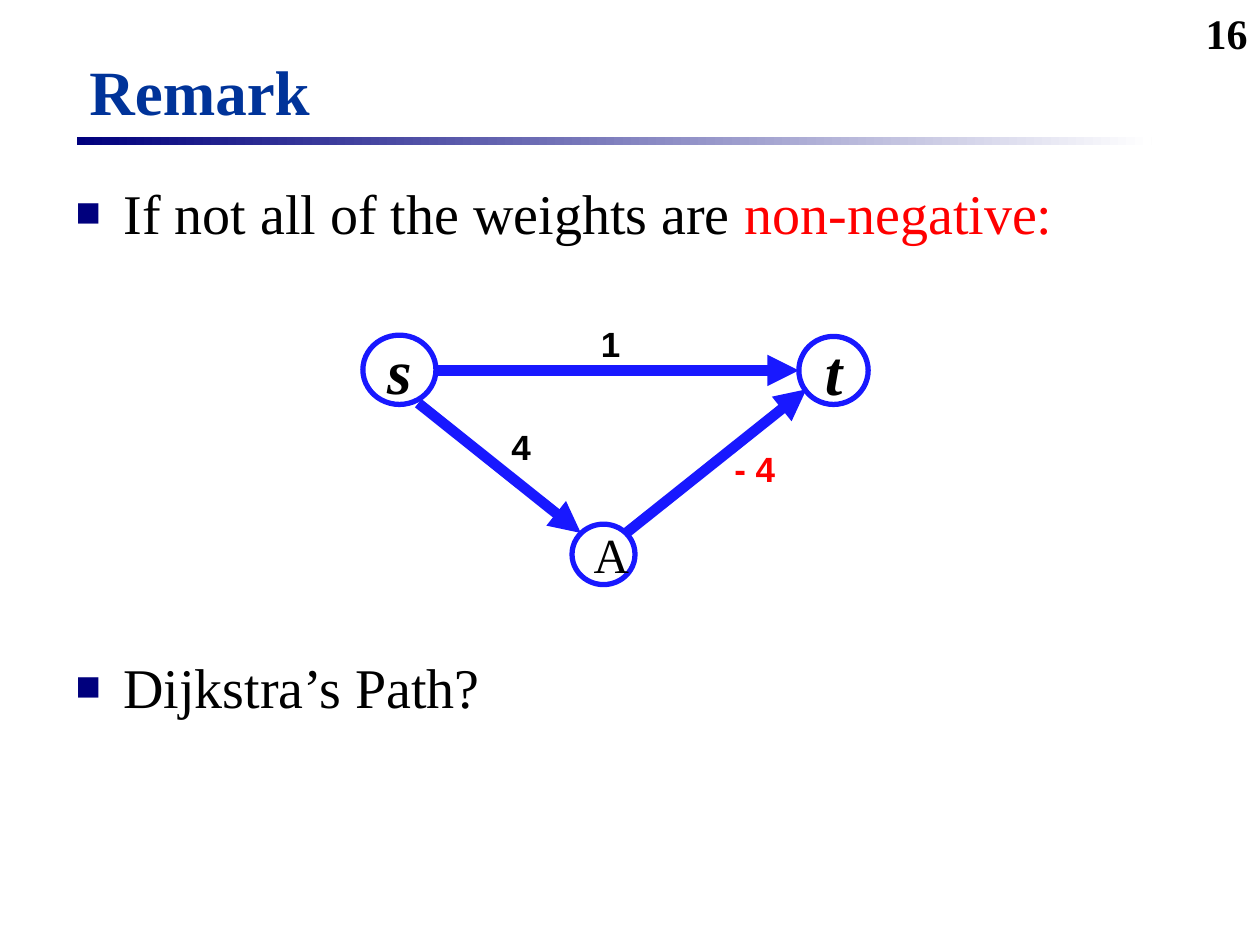
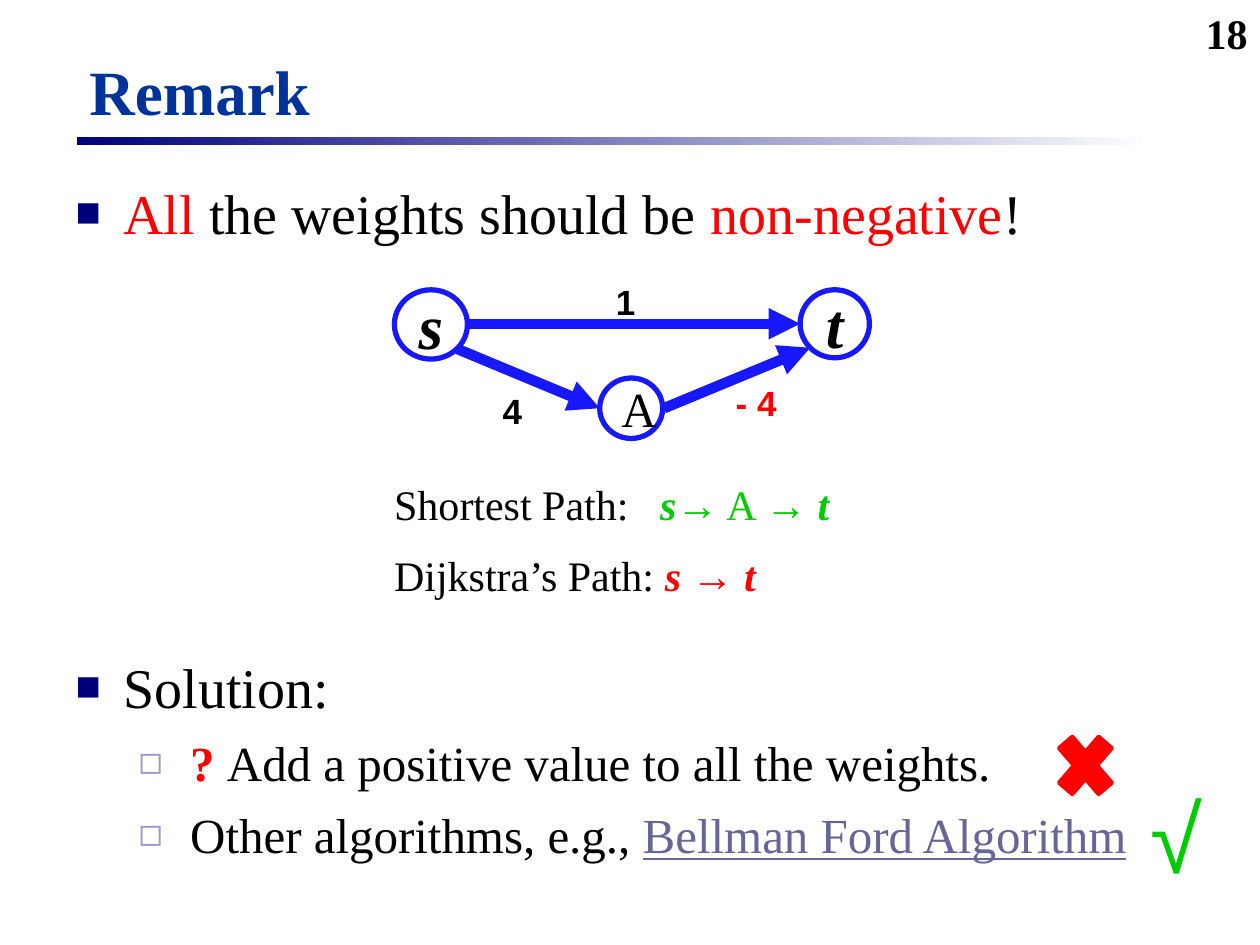
"""Build two slides on negative weights and Dijkstra's shortest paths."""
from lxml.etree import SubElement
from pptx import Presentation
from pptx.dml.color import RGBColor
from pptx.enum.shapes import MSO_CONNECTOR, MSO_SHAPE as Preset
from pptx.enum.text import MSO_ANCHOR as Anchor, MSO_AUTO_SIZE as AutoSize, PP_ALIGN as Align
from pptx.oxml.ns import qn
from pptx.util import Pt

PX = 9144
BLACK = RGBColor(0, 0, 0)
WHITE = RGBColor(255, 255, 255)
RED = RGBColor(255, 0, 0)
GREEN = RGBColor(0, 204, 0)
NAVY = RGBColor(0, 0, 125)
TITLE_BLUE = RGBColor(0, 51, 153)
GRAPH_BLUE = RGBColor(24, 24, 255)
LILAC = RGBColor(153, 153, 204)
LINK = RGBColor(102, 102, 153)
SERIF, SANS = "Times New Roman", "Arial"


def write(para, runs, size, face=SERIF):
    """Fill a paragraph with (text, colour, style letters) runs."""
    para.font.size = Pt(size)
    para.font.name = face
    for text, colour, style in runs:
        span = para.add_run()
        span.text = text
        font = para.font if len(runs) == 1 else span.font
        font.color.rgb = colour
        font.bold = "b" in style
        font.italic = "i" in style
        font.underline = "u" in style


def add_text(page, place, runs, size, face=SERIF, align=Align.LEFT, tab=None):
    """Add a one-line text box, with a tab stop if one is given."""
    box = page.shapes.add_textbox(*[n * PX for n in place])
    box.text_frame.word_wrap = True
    para = box.text_frame.paragraphs[0]
    para.alignment = align
    if tab:
        stops = SubElement(para._p.get_or_add_pPr(), qn("a:tabLst"))
        SubElement(stops, qn("a:tab"), pos=str(tab * PX), algn="l")
    write(para, runs, size, face)
    return box


BULLETS = [
    ("■", NAVY, 75, 38, -38, 32),
    ("◻", LILAC, 80, 91, -41, 28),
]
PAGES = [
    {
        "number": "16",
        "items": [
            (0, 0, [("If not all of the weights are ", BLACK, ""), ("non-negative:", RED, "")]),
            (0, 232, [("Dijkstra’s Path?", BLACK, "")]),
        ],
        "nodes": [(288, 266), (454, 416), (634, 267)],
        "edges": [(346, 294, 634, 294), (332, 320, 461, 423), (497, 423, 640, 309)],
        "weights": [(467, 251), (396, 333), (573, 350)],
    },
    {
        "number": "18",
        "items": [
            (0, 0, [("All", RED, ""), (" the weights should be ", BLACK, ""),
                    ("non-negative", RED, ""), ("!", BLACK, "")]),
            (0, 232, [("Solution:", BLACK, "")]),
            (1, 7.5, [("? ", RED, "b"), ("Add a positive value to all the weights.", BLACK, "")]),
            (1, 7.5, [("Other algorithms, e.g., ", BLACK, ""),
                      ("Bellman Ford Algorithm", LINK, "u")]),
        ],
        "nodes": [(313, 230), (476, 300), (635, 230)],
        "edges": [(371, 257, 635, 257), (363, 277, 476, 324), (527, 324, 643, 276)],
        "weights": [(479, 218), (389, 304), (574, 298)],
    },
]
NODES = [("s", 58, 55, 36, "bi"), ("A", 50, 48, 28, ""), ("t", 55, 54, 36, "bi")]
WEIGHTS = [("1", 42, BLACK), ("4", 42, BLACK), ("- 4", 61, RED)]

deck = Presentation()
deck.slide_width, deck.slide_height = 1000 * PX, 750 * PX
layout = deck.slide_layouts[1]
for holder, place in zip(layout.placeholders, [(61, 36, 685, 71), (50, 137, 900, 585)]):
    holder.left, holder.top, holder.width, holder.height = [n * PX for n in place]

for content in PAGES:
    page = deck.slides.add_slide(layout)
    band = page.shapes.add_shape(Preset.RECTANGLE, 61 * PX, 109 * PX, 853 * PX, 6 * PX)
    band.shadow.inherit = False
    band.line.fill.background()
    band.fill.gradient()
    band.fill.gradient_angle = 0
    for stop, colour in zip(band.fill.gradient_stops, (NAVY, WHITE)):
        stop.color.rgb = colour

    title = page.shapes.title.text_frame
    title.auto_size = AutoSize.NONE
    title.vertical_anchor = Anchor.MIDDLE
    title.paragraphs[0].alignment = Align.LEFT
    write(title.paragraphs[0], [("Remark", TITLE_BLUE, "b")], 36)

    body = page.placeholders[1].text_frame
    body.auto_size = AutoSize.NONE
    for index, (level, gap, runs) in enumerate(content["items"]):
        para = body.add_paragraph() if index else body.paragraphs[0]
        mark, colour, percent, margin, indent, size = BULLETS[level]
        para.level = level
        para.space_before = Pt(gap)
        props = para._p.get_or_add_pPr()
        props.set("marL", str(margin * PX))
        props.set("indent", str(indent * PX))
        SubElement(SubElement(props, qn("a:buClr")), qn("a:srgbClr"), val=str(colour))
        SubElement(props, qn("a:buSzPct"), val=str(percent * 1000))
        SubElement(props, qn("a:buFont"), typeface=SANS)
        SubElement(props, qn("a:buChar"), char=mark)
        write(para, runs, size)

    for (left, top), (name, width, height, size, style) in zip(content["nodes"], NODES):
        node = page.shapes.add_shape(Preset.OVAL, left * PX, top * PX, width * PX, height * PX)
        node.shadow.inherit = False
        node.fill.solid()
        node.fill.fore_color.rgb = WHITE
        node.line.color.rgb = GRAPH_BLUE
        node.line.width = Pt(3)
        node.text_frame.paragraphs[0].alignment = Align.CENTER
        write(node.text_frame.paragraphs[0], [(name, BLACK, style)], size)

    for ends in content["edges"]:
        edge = page.shapes.add_connector(MSO_CONNECTOR.STRAIGHT, *[n * PX for n in ends])
        edge.line.color.rgb = GRAPH_BLUE
        edge.line.width = Pt(6)
        SubElement(edge.line._get_or_add_ln(), qn("a:tailEnd"), type="triangle")
        SubElement(edge._element.spPr, qn("a:effectLst"))

    for (left, top), (weight, width, colour) in zip(content["weights"], WEIGHTS):
        add_text(page, (left, top, width, 44), [(weight, colour, "b")], 20, SANS)

    number = add_text(page, (767, 1, 233, 50), [(content["number"], BLACK, "b")], 24,
                      align=Align.RIGHT)
    number.text_frame.vertical_anchor = Anchor.BOTTOM

add_text(page, (303, 375, 369, 50),
         [("Shortest Path:\t", BLACK, ""), ("s", GREEN, "bi"), ("→ A → ", GREEN, ""),
          ("t", GREEN, "bi")], 24, tab=211)
add_text(page, (303, 431, 426, 50),
         [("Dijkstra’s Path: ", BLACK, ""), ("s ", RED, "bi"), ("→ ", RED, ""),
          ("t", RED, "bi")], 24)

cross = page.shapes.add_shape(Preset.MATH_MULTIPLY, 831 * PX, 572 * PX, 61 * PX, 71 * PX)
cross.shadow.inherit = False
cross.fill.solid()
cross.fill.fore_color.rgb = RED
cross.line.color.rgb = RED
cross.line.width = Pt(2)

check = add_text(page, (903, 613, 62, 101), [("√", GREEN, "")], 54, SANS, Align.CENTER)
check.text_frame.word_wrap = False

deck.save("out.pptx")
